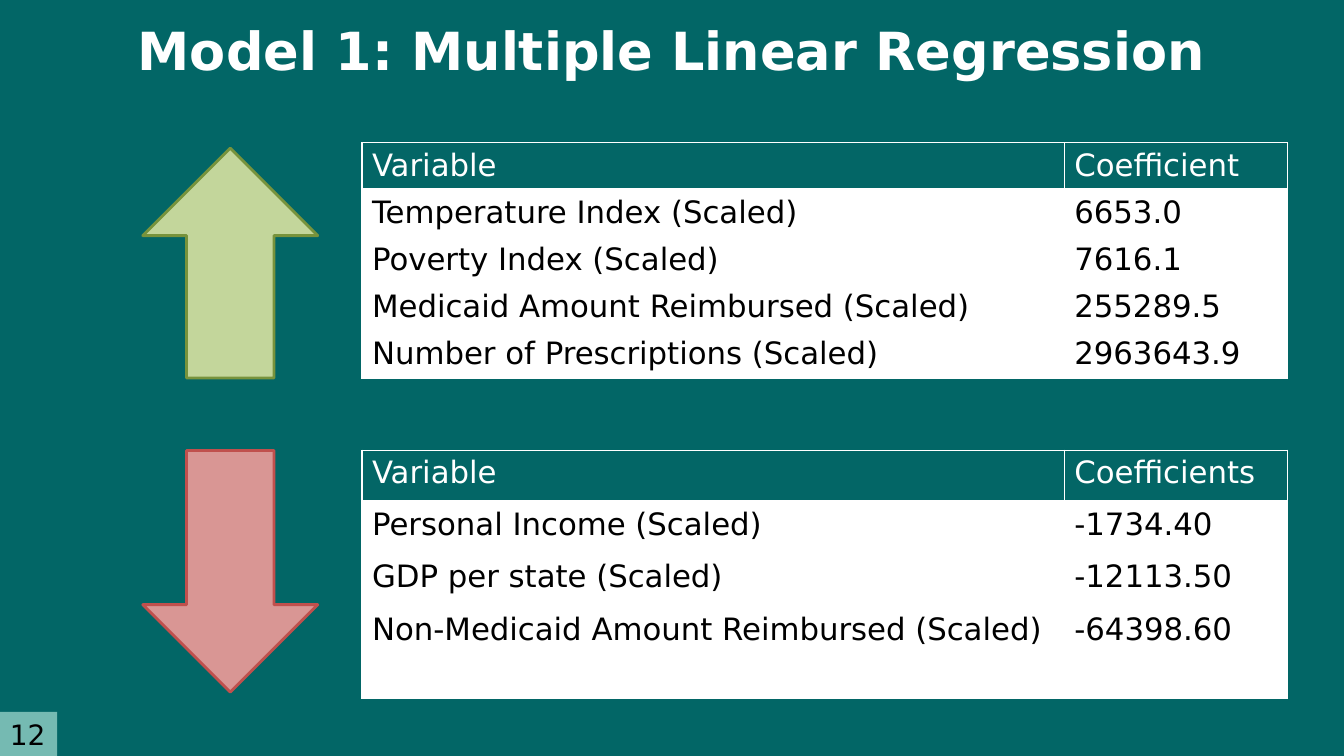
from lxml import etree
from pptx import Presentation
from pptx.dml.color import RGBColor
from pptx.enum import shapes, text
from pptx.oxml import ns
from pptx.util import Pt

FONT = "DejaVu Sans"
COLORS = {
    "back": "026666", "head": "036666", "white": "FFFFFF", "black": "000000",
    "badge": "75BAB2", "green": "C3D69B", "moss": "77933C",
    "pink": "D99694", "red": "C0504D",
}


def paint(fill, name):
    fill.solid()
    fill.fore_color.rgb = RGBColor.from_string(COLORS[name])


def style(para, size, color, bold=False):
    font = para.font
    font.name, font.size, font.bold = FONT, Pt(size), bold
    font.color.rgb = RGBColor.from_string(COLORS[color])


prs = Presentation()
prs.slide_width, prs.slide_height = Pt(960), Pt(540)
slide = prs.slides.add_slide(prs.slide_layouts[6])
paint(slide.background.fill, "back")

# Title
title = slide.shapes.add_textbox(0, Pt(14.4), Pt(960), Pt(44))
frame = title.text_frame
frame.word_wrap = True
frame.margin_left = frame.margin_right = frame.margin_top = frame.margin_bottom = 0
para = frame.paragraphs[0]
para.text = "Model 1: Multiple Linear Regression"
para.alignment = text.PP_ALIGN.CENTER
para.line_spacing = Pt(43.6)
style(para, 37.5, "white", True)

# Page number
badge = slide.shapes.add_shape(
    shapes.MSO_SHAPE.RECTANGLE, 0, Pt(508.4), Pt(40.8), Pt(31.6))
badge.shadow.inherit = False
paint(badge.fill, "badge")
badge.line.fill.background()
badge.text_frame.word_wrap = False
para = badge.text_frame.paragraphs[0]
para.text = "12"
para.alignment = text.PP_ALIGN.LEFT
style(para, 20, "black")

# Coefficient tables: top, row heights, rows
tables = [
    (102, [33.6] * 5, [
        ("Variable", "Coefficient"),
        ("Temperature Index (Scaled)", "6653.0"),
        ("Poverty Index (Scaled)", "7616.1"),
        ("Medicaid Amount Reimbursed (Scaled)", "255289.5"),
        ("Number of Prescriptions (Scaled)", "2963643.9"),
    ]),
    (321.6, [37.2] * 3 + [65.6], [
        ("Variable", "Coefficients"),
        ("Personal Income (Scaled)", "-1734.40"),
        ("GDP per state (Scaled)", "-12113.50"),
        ("Non-Medicaid Amount Reimbursed (Scaled)", "-64398.60"),
    ]),
]
widths = [501.6, 159.2]
for top, heights, rows in tables:
    grid = slide.shapes.add_table(
        len(rows), 2, Pt(258.6), Pt(top), Pt(sum(widths)), Pt(sum(heights))).table
    for col, width in zip(grid.columns, widths):
        col.width = Pt(width)
    for r, row in enumerate(rows):
        grid.rows[r].height = Pt(heights[r])
        for c, label in enumerate(row):
            cell = grid.cell(r, c)
            cell.text = label
            style(cell.text_frame.paragraphs[0], 22, "black" if r else "white")
            paint(cell.fill, "white" if r else "head")
            # White borders, thicker under the header
            props = cell._tc.get_or_add_tcPr()
            for i, side in enumerate("LRTB"):
                thick = (r == 0 and side == "B") or (r == 1 and side == "T")
                edge = etree.Element(ns.qn("a:ln" + side), w=str(Pt(3 if thick else 1)))
                fill = etree.SubElement(edge, ns.qn("a:solidFill"))
                etree.SubElement(fill, ns.qn("a:srgbClr"), val=COLORS["white"])
                props.insert(i, edge)

# Direction arrows
arrows = [
    (shapes.MSO_SHAPE.UP_ARROW, 105.8, 164.2, "green", "moss"),
    (shapes.MSO_SHAPE.DOWN_ARROW, 321.8, 172.6, "pink", "red"),
]
for kind, top, height, fill, line in arrows:
    arrow = slide.shapes.add_shape(kind, Pt(102), Pt(top), Pt(125), Pt(height))
    arrow.shadow.inherit = False
    paint(arrow.fill, fill)
    paint(arrow.line.fill, line)
    arrow.line.width = Pt(2)

prs.save("out.pptx")
